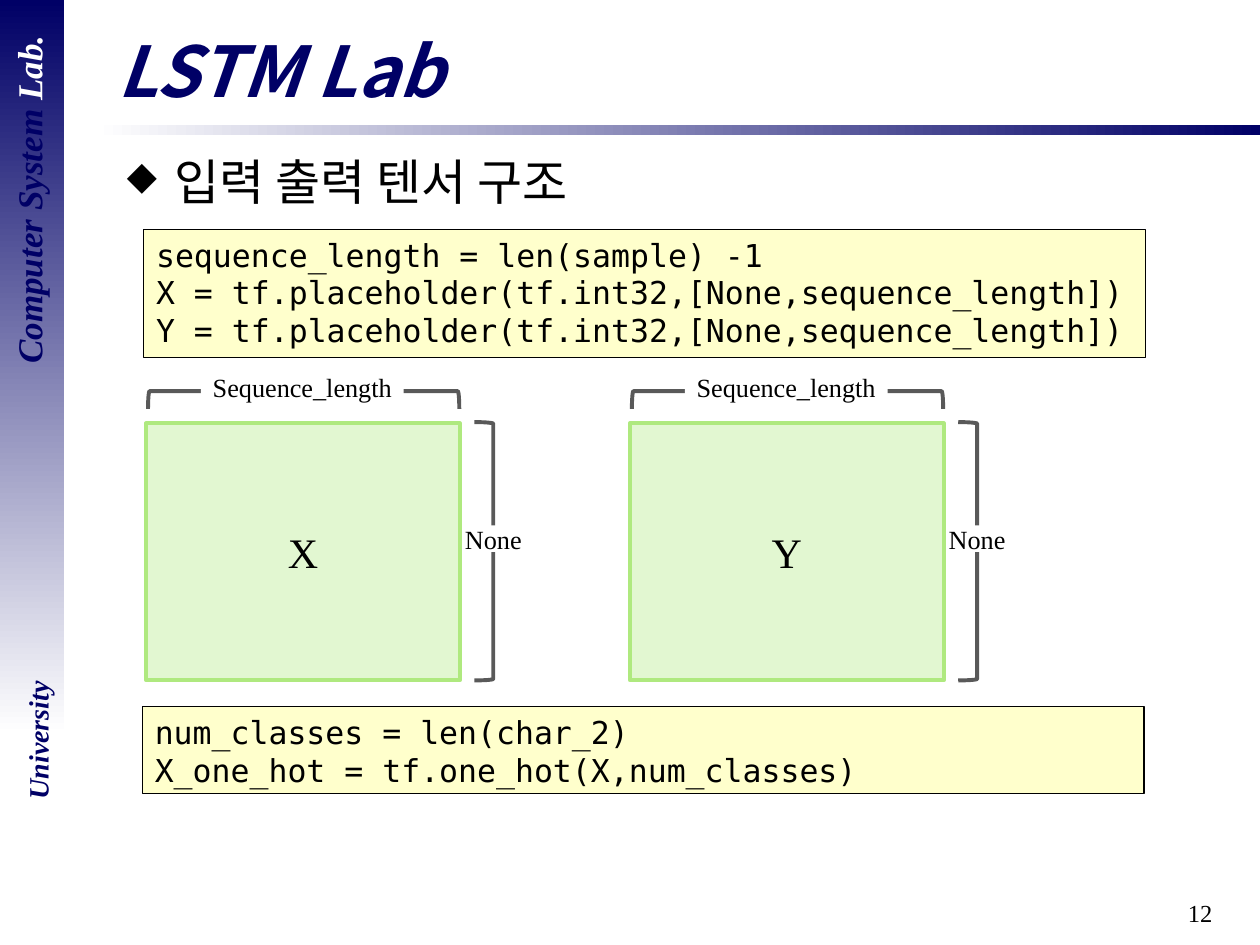
from lxml.etree import SubElement
from pptx import Presentation
from pptx.dml.color import RGBColor
from pptx.enum.shapes import MSO_SHAPE
from pptx.enum.text import MSO_ANCHOR, PP_ALIGN
from pptx.oxml.ns import qn
from pptx.util import Inches, Pt

NAVY = RGBColor(0x00, 0x00, 0x66)
WHITE = RGBColor(0xFF, 0xFF, 0xFF)
BLACK = RGBColor(0x00, 0x00, 0x00)
CREAM = RGBColor(0xFF, 0xFF, 0xCC)
MINT = RGBColor(0xE2, 0xF7, 0xD1)
GREEN = RGBColor(0xAF, 0xE9, 0x7F)
GRAY = RGBColor(0x59, 0x59, 0x59)

SERIF = "Times New Roman"
SANS = "Noto Sans CJK KR"
MONO = "DejaVu Sans Mono"

# The grid has 100 columns and 75 rows of equal size
CELL = Inches(0.1)


def grid(*lengths):
    return [round(length * CELL) for length in lengths]


def write(shape, *lines, size, font=SERIF, color=BLACK, bold=False, italic=False,
          align=PP_ALIGN.LEFT, anchor=MSO_ANCHOR.TOP, wrap=True):
    """Fill a shape with lines; a line is a text or a list of (text, color) runs."""
    frame = shape.text_frame
    frame.word_wrap = wrap
    frame.vertical_anchor = anchor
    for index, line in enumerate(lines):
        paragraph = frame.add_paragraph() if index else frame.paragraphs[0]
        paragraph.alignment = align
        for text, run_color in [(line, color)] if isinstance(line, str) else line:
            run = paragraph.add_run()
            run.text = text
            run.font.size = Pt(size)
            run.font.name = font
            run.font.bold = bold
            run.font.italic = italic
            run.font.color.rgb = run_color
            SubElement(run.font._element, qn("a:ea"), typeface=font)
    return frame


class LabSlide:
    def __init__(self, presentation):
        self.slide = presentation.slides.add_slide(presentation.slide_layouts[5])
        self.shapes = self.slide.shapes

    def title(self, text, place):
        title = self.slide.shapes.title
        title.left, title.top, title.width, title.height = grid(*place)
        write(title, text, size=40, font=SANS, color=NAVY, bold=True, italic=True,
              anchor=MSO_ANCHOR.MIDDLE)

    def shape(self, place, kind=MSO_SHAPE.RECTANGLE, fill=None, line=None,
              weight=0.75, rotation=0):
        shape = self.shapes.add_shape(kind, *grid(*place))
        shape.shadow.inherit = False
        shape.rotation = rotation
        if fill is None:
            shape.fill.background()
        else:
            shape.fill.solid()
            shape.fill.fore_color.rgb = fill
        if line is None:
            shape.line.fill.background()
        else:
            shape.line.color.rgb = line
            shape.line.width = Pt(weight)
        return shape

    def gradient(self, place, start, end, rotation=0):
        shape = self.shape(place, rotation=rotation)
        shape.fill.gradient()
        shape.fill.gradient_angle = 0
        for stop, color in zip(shape.fill.gradient_stops, (start, end)):
            stop.color.rgb = color

    def text(self, place, *lines, rotation=0, **style):
        box = self.shapes.add_textbox(*grid(*place))
        box.rotation = rotation
        return write(box, *lines, **style)

    def bullet(self, place, text):
        frame = self.text(place, text, size=28, font=SANS)
        paragraph = frame.paragraphs[0]
        paragraph.space_before = Pt(5.6)
        properties = paragraph._p.get_or_add_pPr()
        properties.set("marL", str(Inches(0.38)))
        properties.set("indent", str(Inches(-0.38)))
        SubElement(properties, qn("a:buSzPct"), val="80000")
        SubElement(properties, qn("a:buChar"), char="◆")

    def code(self, place, *lines):
        write(self.shape(place, fill=CREAM, line=BLACK), *lines, size=18, font=MONO)

    def bracket(self, place, rotation):
        self.shape(place, MSO_SHAPE.LEFT_BRACKET, line=GRAY, weight=2.25,
                   rotation=rotation)

    def label(self, place, text, size=15, **style):
        write(self.shape(place, **style), text, size=size, align=PP_ALIGN.CENTER,
              anchor=MSO_ANCHOR.MIDDLE, wrap=False)

    def tensor(self, left, name):
        """A grouped matrix with a bracket and a label for each dimension."""
        self.shapes = self.slide.shapes.add_group_shape().shapes
        self.bracket((left + 11.8, 19.4, 1.4, 24.7), rotation=90)
        self.label((left, 33.6, 24.9, 20.4), name, size=24, fill=MINT, line=GREEN,
                   weight=2.25)
        self.bracket((left + 26.05, 33.5, 1.5, 20.5), rotation=180)
        self.label((left + 4.35, 29.7, 16.1, 2.1), "Sequence_length", fill=WHITE)
        self.label((left + 25.15, 41.7, 4.8, 2.1), "None", fill=WHITE)
        self.shapes = self.slide.shapes


presentation = Presentation()
presentation.slide_width, presentation.slide_height = grid(100, 75)
lab = LabSlide(presentation)

# Frame: title rule, page number and side banner
lab.gradient((7.5, 9.9, 92.5, 0.8), WHITE, NAVY)
lab.text((76.4, 70.8, 20.8, 4.2), "12", size=14, align=PP_ALIGN.RIGHT)
lab.gradient((-26.6, 26.6, 58.3, 5.1), NAVY, WHITE, rotation=90)
banner = dict(rotation=270, color=NAVY, bold=True, italic=True,
              align=PP_ALIGN.CENTER, wrap=False)
lab.text((-13.1, 13.7, 30.7, 4.3), [("Computer System ", NAVY), ("Lab.", WHITE)],
         size=20, **banner)
lab.text((-4.1, 56.9, 14.2, 3.7), "University", size=16, **banner)

# Heading
lab.bullet((9.1, 11.5, 87.4, 57.7), "입력 출력 텐서 구조")
lab.title("LSTM Lab", (8.3, 1.7, 89, 7.7))

# Code and tensor shapes
lab.code((11.4, 18.2, 79.5, 10.2),
         "sequence_length = len(sample) -1",
         *(f"{name} = tf.placeholder(tf.int32,[None,sequence_length])" for name in "XY"))
for column, name in enumerate("XY"):
    lab.tensor(11.6 + column * 38.4, name)
lab.code((11.3, 56.1, 79.5, 6.9),
         "num_classes = len(char_2)",
         "X_one_hot = tf.one_hot(X,num_classes)")

presentation.save("out.pptx")
